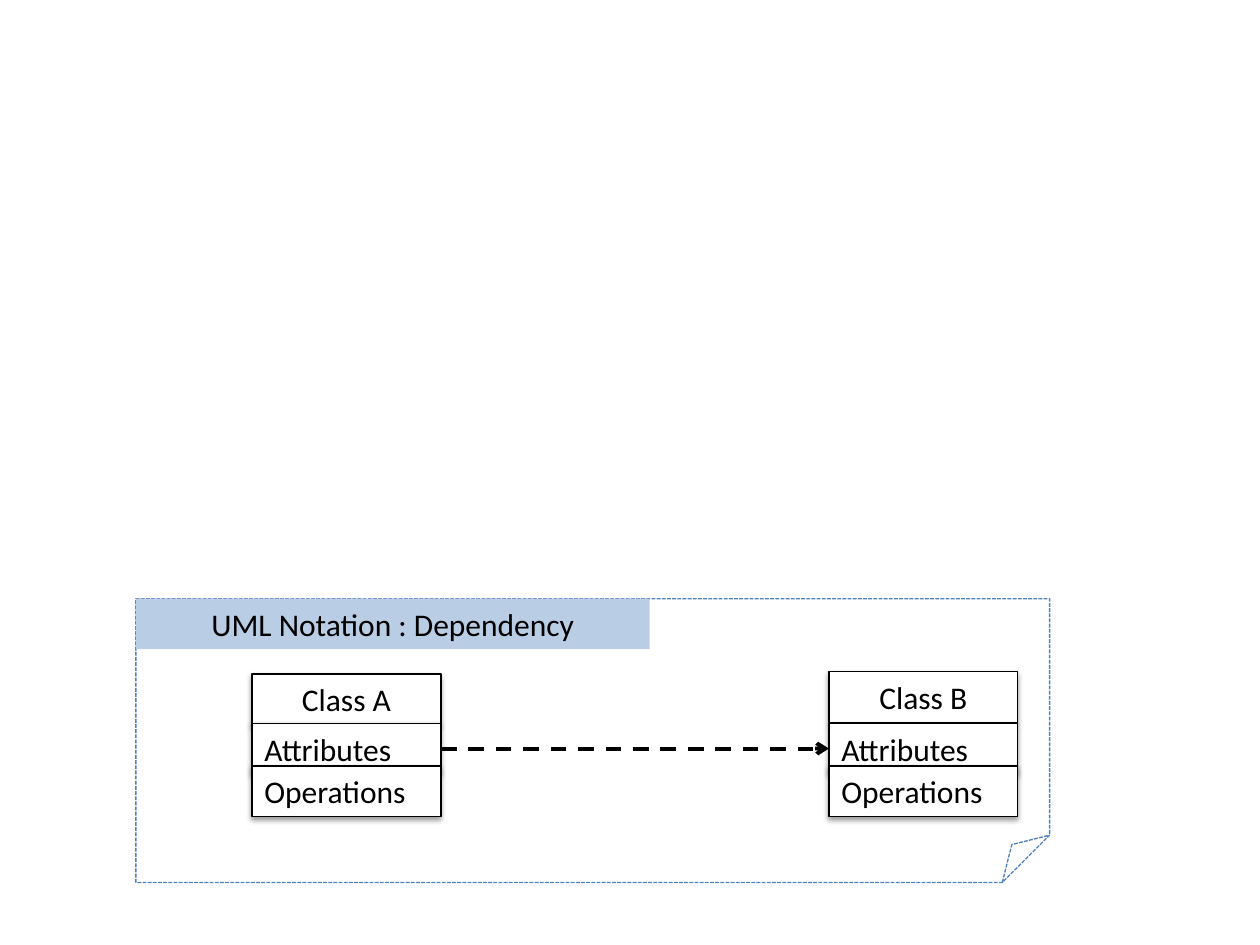
from dataclasses import dataclass

from lxml import etree
from pptx import Presentation
from pptx.dml.color import RGBColor
from pptx.enum.dml import MSO_LINE
from pptx.enum.shapes import MSO_CONNECTOR, MSO_SHAPE
from pptx.enum.text import MSO_ANCHOR, MSO_AUTO_SIZE, PP_ALIGN
from pptx.oxml.ns import qn
from pptx.shapes.autoshape import Shape
from pptx.shapes.shapetree import SlideShapes
from pptx.util import Cm, Pt

RECTANGLE, FOLDED_CORNER = MSO_SHAPE.RECTANGLE, MSO_SHAPE.FOLDED_CORNER
ELBOW = MSO_CONNECTOR.ELBOW
DASH, SQUARE_DOT = MSO_LINE.DASH, MSO_LINE.SQUARE_DOT
LEFT, CENTER = PP_ALIGN.LEFT, PP_ALIGN.CENTER
TOP, MIDDLE = MSO_ANCHOR.TOP, MSO_ANCHOR.MIDDLE
FIT_SHAPE = MSO_AUTO_SIZE.SHAPE_TO_FIT_TEXT
LEFT_SITE, RIGHT_SITE = 1, 3


@dataclass(frozen=True)
class Theme:
    ink: RGBColor = RGBColor(0x00, 0x00, 0x00)
    paper: RGBColor = RGBColor(0xFF, 0xFF, 0xFF)
    note_border: RGBColor = RGBColor(0x4F, 0x81, 0xBD)
    banner: RGBColor = RGBColor(0xB9, 0xCD, 0xE5)
    font: str = "Calibri"
    text_size: Pt = Pt(18)
    thin: Pt = Pt(0.75)
    thick: Pt = Pt(2.25)


@dataclass(frozen=True)
class Box:
    left: float
    top: float
    width: float
    height: float


@dataclass(frozen=True)
class UmlClass:
    name: str
    left: float
    top: float


THEME = Theme()
ROW_WIDTH, ROW_HEIGHT = 3.81, 1.02
ATTRIBUTES_TOP, OPERATIONS_TOP = 14.58, 15.44
NOTE = Box(2.74, 12.07, 18.42, 5.72)
BANNER = Box(NOTE.left, NOTE.top, 10.36, ROW_HEIGHT)
CLASS_A = UmlClass("Class A", 5.08, 13.59)
CLASS_B = UmlClass("Class B", 16.71, 13.54)


def add_box(shapes: SlideShapes, kind: MSO_SHAPE, box: Box) -> Shape:
    shape = shapes.add_shape(kind, Cm(box.left), Cm(box.top),
                             Cm(box.width), Cm(box.height))
    shape.shadow.inherit = False
    return shape


def set_label(shape: Shape, label: str, align: PP_ALIGN, anchor: MSO_ANCHOR) -> None:
    frame = shape.text_frame
    frame.text = label
    frame.word_wrap = True
    frame.auto_size = FIT_SHAPE
    frame.vertical_anchor = anchor
    paragraph = frame.paragraphs[0]
    paragraph.alignment = align
    font = paragraph.runs[0].font
    font.name, font.size = THEME.font, THEME.text_size
    font.color.rgb = THEME.ink


def add_soft_shadow(shape: Shape) -> None:
    effects = shape._element.spPr.find(qn("a:effectLst"))
    shadow = etree.SubElement(effects, qn("a:outerShdw"), blurRad=str(Pt(3.1)),
                              dist=str(Pt(1.6)), dir="5400000", rotWithShape="0")
    color = etree.SubElement(shadow, qn("a:srgbClr"), val=str(THEME.ink))
    etree.SubElement(color, qn("a:alpha"), val="38000")


def add_compartment(shapes: SlideShapes, label: str, left: float, top: float,
                    align: PP_ALIGN = LEFT) -> Shape:
    compartment = add_box(shapes, RECTANGLE, Box(left, top, ROW_WIDTH, ROW_HEIGHT))
    compartment.fill.solid()
    compartment.fill.fore_color.rgb = THEME.paper
    compartment.line.color.rgb = THEME.ink
    compartment.line.width = THEME.thin
    add_soft_shadow(compartment)
    set_label(compartment, label, align, MIDDLE)
    return compartment


def add_class(shapes: SlideShapes, uml_class: UmlClass) -> Shape:
    """Draw the three compartments and return the attributes one."""
    add_compartment(shapes, uml_class.name, uml_class.left, uml_class.top, CENTER)
    attributes = add_compartment(shapes, "Attributes", uml_class.left, ATTRIBUTES_TOP)
    add_compartment(shapes, "Operations", uml_class.left, OPERATIONS_TOP)
    return attributes


def add_note(shapes: SlideShapes) -> None:
    note = add_box(shapes, FOLDED_CORNER, NOTE)
    note.fill.background()
    note.line.color.rgb = THEME.note_border
    note.line.width = THEME.thin
    note.line.dash_style = SQUARE_DOT

    banner = add_box(shapes, RECTANGLE, BANNER)
    banner.fill.solid()
    banner.fill.fore_color.rgb = THEME.banner
    banner.line.fill.background()
    set_label(banner, "UML Notation : Dependency", CENTER, TOP)


def add_dependency(shapes: SlideShapes, client: Shape, supplier: Shape) -> None:
    arrow = shapes.add_connector(ELBOW, 0, 0, 0, 0)
    arrow.begin_connect(client, RIGHT_SITE)
    arrow.end_connect(supplier, LEFT_SITE)
    arrow.line.color.rgb = THEME.ink
    arrow.line.width = THEME.thick
    arrow.line.dash_style = DASH
    etree.SubElement(arrow.line._get_or_add_ln(), qn("a:tailEnd"), type="arrow")
    etree.SubElement(arrow._element.spPr, qn("a:effectLst"))


def main() -> None:
    presentation = Presentation()
    presentation.slide_width, presentation.slide_height = Cm(25.4), Cm(19.05)
    blank = presentation.slide_layouts[6]
    shapes = presentation.slides.add_slide(blank).shapes

    add_note(shapes)
    client = add_class(shapes, CLASS_A)
    supplier = add_class(shapes, CLASS_B)
    add_dependency(shapes, client, supplier)
    presentation.save("out.pptx")


if __name__ == "__main__":
    main()
